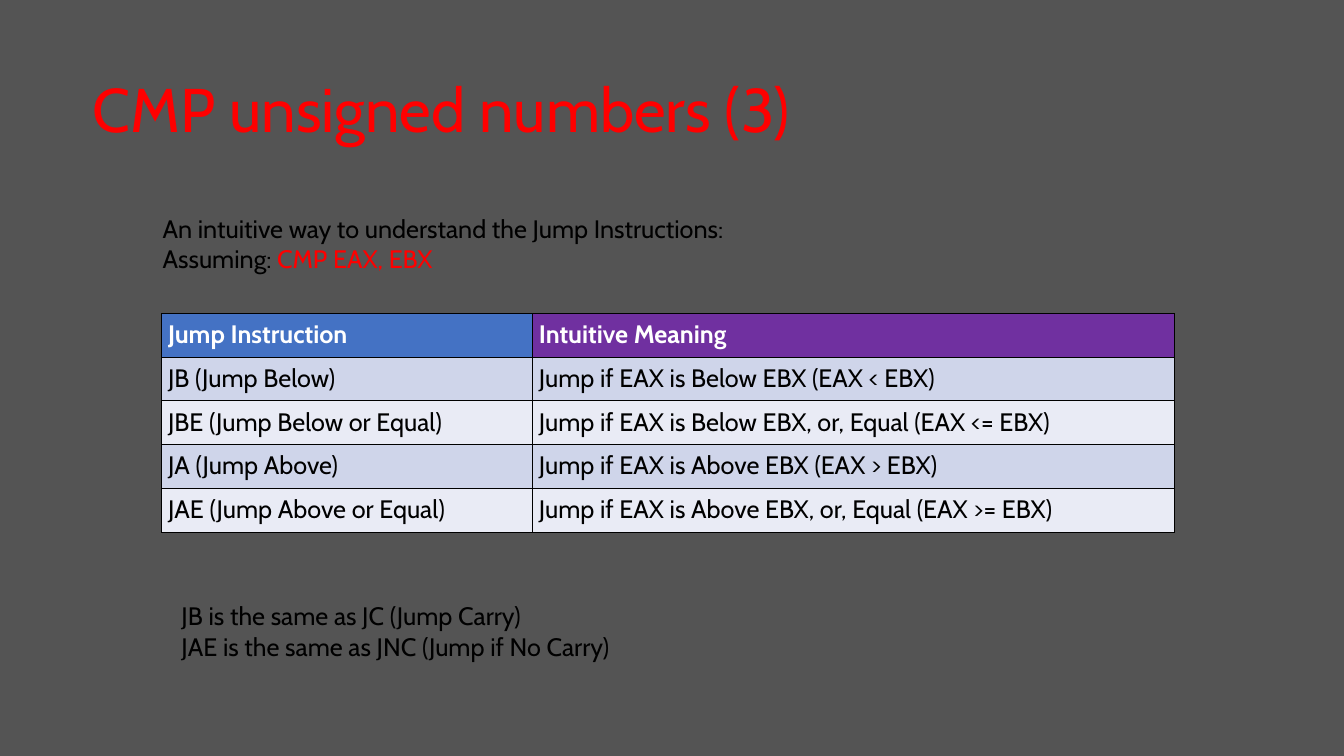
from typing import NamedTuple

from lxml.etree import SubElement as Sub
from pptx import Presentation
from pptx.dml.color import RGBColor as Rgb
from pptx.enum.text import MSO_ANCHOR as Anchor
from pptx.oxml.ns import qn
from pptx.util import Inches, Pt

GREY = Rgb(0x54, 0x54, 0x54)
RED = Rgb(0xFF, 0x00, 0x00)
BLACK = Rgb(0x00, 0x00, 0x00)
WHITE = Rgb(0xFF, 0xFF, 0xFF)
BLUE = Rgb(0x44, 0x72, 0xC4)
PURPLE = Rgb(0x70, 0x30, 0xA0)
BANDS = (Rgb(0xCF, 0xD5, 0xEA), Rgb(0xE9, 0xEB, 0xF5))

FONT = "Cabin"
SIZE, LEAD = 27, 32.4
EDGE = Pt(0.37)


class Part(NamedTuple):
    text: str
    color: Rgb = BLACK
    bold: bool = False


class Box(NamedTuple):
    left: float
    top: float
    width: float
    height: float
    lines: list[list[Part]]
    size: float = SIZE
    lead: float = LEAD
    anchor: Anchor = Anchor.TOP


BOXES = [
    Box(1.38, 0.54, 17.25, 2.23, [[Part("CMP unsigned numbers (3)", RED)]],
        66, 71.3, Anchor.MIDDLE),
    Box(2.42, 3.17, 8.65, 1.02, [
        [Part("An intuitive way to understand the Jump Instructions:")],
        [Part("Assuming: "), Part("CMP EAX, EBX", RED)],
    ]),
    Box(2.7, 8.94, 6.39, 1.02, [
        [Part("JB is the same as JC (Jump Carry)")],
        [Part("JAE is the same as JNC (Jump if No Carry)")],
    ]),
]

HEAD = ("Jump Instruction", "Intuitive Meaning")
JUMPS = [
    ("JB (Jump Below)", "Jump if EAX is Below EBX (EAX < EBX)"),
    ("JBE (Jump Below or Equal)",
     "Jump if EAX is Below EBX, or, Equal (EAX <= EBX)"),
    ("JA (Jump Above)", "Jump if EAX is Above EBX (EAX > EBX)"),
    ("JAE (Jump Above or Equal)",
     "Jump if EAX is Above EBX, or, Equal (EAX >= EBX)"),
]
WIDTHS = (5.52, 9.56)
ROW = 0.6


def write(para, parts: list[Part], size: float, lead: float) -> None:
    para.line_spacing = Pt(lead)
    for part in parts:
        run = para.add_run()
        run.text = part.text
        font = run.font
        font.name, font.size, font.bold = FONT, Pt(size), part.bold
        font.color.rgb = part.color


def add_box(slide, box: Box) -> None:
    shape = slide.shapes.add_textbox(
        Inches(box.left), Inches(box.top),
        Inches(box.width), Inches(box.height))
    frame = shape.text_frame
    frame.word_wrap = True
    frame.vertical_anchor = box.anchor
    frame.margin_left = frame.margin_right = 0
    frame.margin_top = frame.margin_bottom = 0
    for i, parts in enumerate(box.lines):
        para = frame.add_paragraph() if i else frame.paragraphs[0]
        write(para, parts, box.size, box.lead)


def add_edges(cell) -> None:
    props = cell._tc.get_or_add_tcPr()
    for side in ("lnL", "lnR", "lnT", "lnB"):
        line = Sub(props, qn(f"a:{side}"), w=str(EDGE))
        fill = Sub(line, qn("a:solidFill"))
        Sub(fill, qn("a:srgbClr"), val=str(BLACK))


def fill_cell(cell, part: Part, color: Rgb) -> None:
    add_edges(cell)
    cell.fill.solid()
    cell.fill.fore_color.rgb = color
    cell.vertical_anchor = Anchor.MIDDLE
    cell.margin_left = cell.margin_right = Inches(0.1)
    cell.margin_top = cell.margin_bottom = Inches(0.1)
    write(cell.text_frame.paragraphs[0], [part], SIZE, LEAD)


def add_jumps(slide) -> None:
    count = len(JUMPS) + 1
    table = slide.shapes.add_table(
        count, len(WIDTHS), Inches(2.4), Inches(4.66),
        Inches(sum(WIDTHS)), Inches(ROW * count)).table
    for col, width in zip(table.columns, WIDTHS):
        col.width = Inches(width)
    for c, (text, color) in enumerate(zip(HEAD, (BLUE, PURPLE))):
        fill_cell(table.cell(0, c), Part(text, WHITE, True), color)
    for r, jump in enumerate(JUMPS):
        for c, text in enumerate(jump):
            fill_cell(table.cell(r + 1, c), Part(text), BANDS[r % 2])


def main() -> None:
    deck = Presentation()
    deck.slide_width, deck.slide_height = Inches(20), Inches(11.25)
    slide = deck.slides.add_slide(deck.slide_layouts[6])
    back = slide.background.fill
    back.solid()
    back.fore_color.rgb = GREY
    add_jumps(slide)
    for box in BOXES:
        add_box(slide, box)
    deck.save("out.pptx")


if __name__ == "__main__":
    main()
